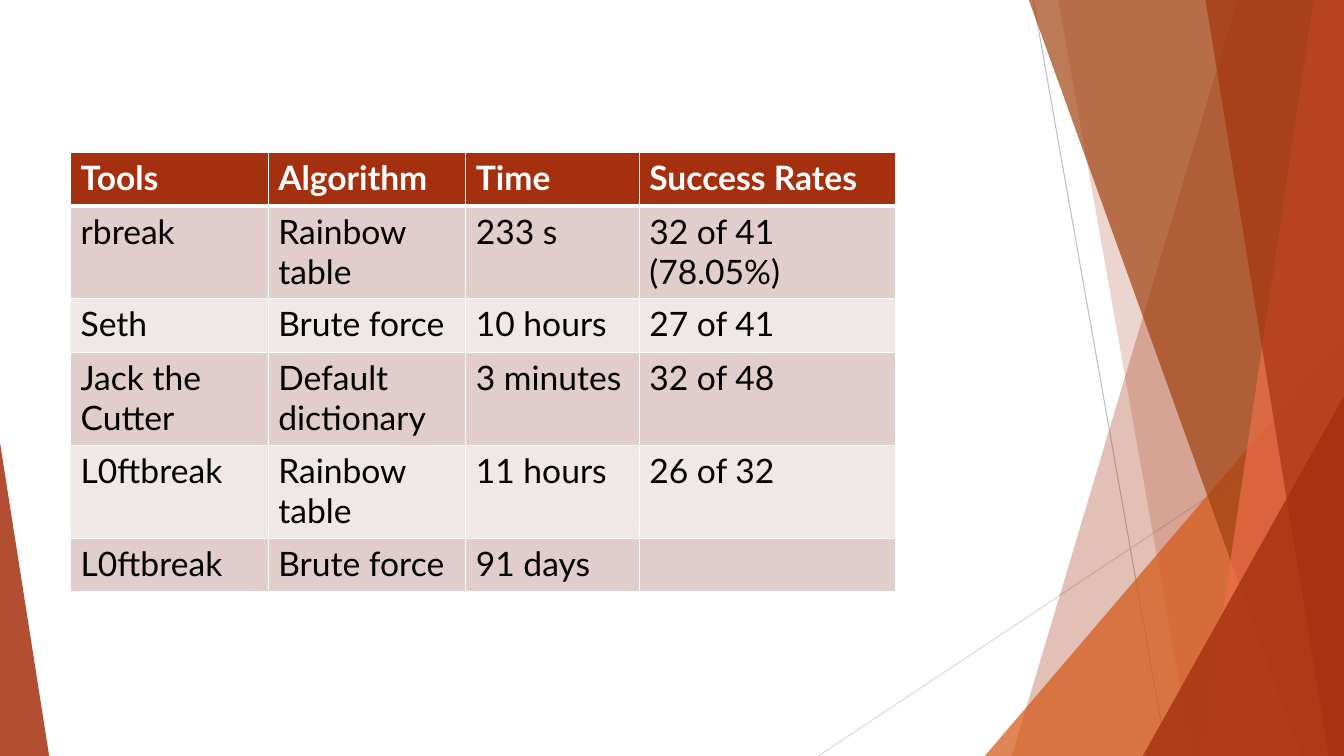
import lxml.etree
import pptx
import pptx.dml.color
import pptx.enum.shapes
import pptx.oxml.ns
import pptx.util

Cm = pptx.util.Cm
Color = pptx.dml.color.RGBColor
Shape = pptx.enum.shapes.MSO_SHAPE

WHITE = Color(0xFF, 0xFF, 0xFF)
BLACK = Color(0x00, 0x00, 0x00)
RUST = Color(0xA5, 0x30, 0x0F)
ORANGE = Color(0xD5, 0x58, 0x16)
BROWN = Color(0xA0, 0x42, 0x10)
CORAL = Color(0xEE, 0x6E, 0x4A)
GREY = Color(0xBF, 0xBF, 0xBF)
PALE_GREY = Color(0xD9, 0xD9, 0xD9)
DARK_BAND = Color(0xE1, 0xCD, 0xCC)
LIGHT_BAND = Color(0xF0, 0xE8, 0xE7)

PAGE_WIDTH, PAGE_HEIGHT = 33.87, 19.05
COLUMN_WIDTHS = (4.98, 4.98, 4.37, 6.45)
ROW_HEIGHTS = (1.35, 2.34, 1.35, 2.34, 2.34, 1.35)
RESULTS = (
    ("Tools", "Algorithm", "Time", "Success Rates"),
    ("rbreak", "Rainbow table", "233 s", "32 of 41 (78.05%)"),
    ("Seth", "Brute force", "10 hours", "27 of 41"),
    ("Jack the Cutter", "Default dictionary", "3 minutes", "32 of 48"),
    ("L0ftbreak", "Rainbow table", "11 hours", "26 of 32"),
    ("L0ftbreak", "Brute force", "91 days", ""),
)


def add_element(parent, tag, **attributes):
    """Append a drawing element to its parent."""
    return lxml.etree.SubElement(parent, pptx.oxml.ns.qn(tag), **attributes)


def paint(shape, color, opacity):
    """Give a shape a see-through fill with no outline or shadow."""
    shape.shadow.inherit = False
    shape.line.fill.background()
    shape.fill.solid()
    shape.fill.fore_color.rgb = color
    color_node = shape.fill._xPr.find(".//" + pptx.oxml.ns.qn("a:srgbClr"))
    add_element(color_node, "a:alpha", val=str(opacity * 1000))


def add_triangle(page, box, color, opacity, apex):
    """Fill a box with a right triangle whose apex is at 0 (left) or 1 (right)."""
    triangle = page.shapes.add_shape(Shape.ISOSCELES_TRIANGLE, *map(Cm, box))
    triangle.adjustments[0] = apex
    paint(triangle, color, opacity)


def add_band(page, box, top_x, bottom_x, color, opacity):
    """Fill the box to the right of a slanted edge."""
    left, top, width, height = box
    right, bottom = left + width, top + height
    corners = ((right, top), (right, bottom), (left + bottom_x, bottom))
    builder = page.shapes.build_freeform(Cm(left + top_x), Cm(top))
    builder.add_line_segments([(Cm(x), Cm(y)) for x, y in corners], close=True)
    paint(builder.convert_to_shape(), color, opacity)


def add_hairline(page, box, start, end, color):
    """Draw a thin line between two points of the box."""
    left, top = box[:2]
    points = (left + start[0], top + start[1], left + end[0], top + end[1])
    line = page.shapes.add_connector(
        pptx.enum.shapes.MSO_CONNECTOR.STRAIGHT, *map(Cm, points))
    line.line.color.rgb = color
    line.line.width = pptx.util.Pt(0.75)
    add_element(line._element.spPr, "a:effectLst")


def draw_fan(page, box):
    """Layer the overlapping facets along the right side."""
    left, top, width, height = box
    add_hairline(page, box, (5.42, 0), (8.79, height), GREY)
    add_hairline(page, box, (width, 10.24), (0, height), PALE_GREY)
    facets = (
        ("band", 10.57, 4.88, RUST, 30),
        ("band", 6.05, 9.43, RUST, 20),
        ("triangle", 4.2, 8.46, ORANGE, 72),
        ("band", 5.31, 12.17, BROWN, 70),
        ("band", 12.48, 9.66, CORAL, 70),
        ("band", 9.76, 12.86, RUST, 65),
        ("triangle", 8.18, 9.98, RUST, 80),
    )
    for kind, first, second, color, opacity in facets:
        if kind == "band":
            add_band(page, box, first, second, color, opacity)
        else:
            corner = (left + first, top + second, width - first, height - second)
            add_triangle(page, corner, color, opacity, apex=1)


def write_text(frame, text, size=24, font="Lato", color=BLACK, bold=False):
    """Write one formatted run into a text frame."""
    span = frame.paragraphs[0].add_run()
    span.text = text
    span.font.size = pptx.util.Pt(size)
    span.font.name = font
    span.font.color.rgb = color
    span.font.bold = bold


def add_borders(cell, **widths):
    """Draw white cell borders with widths in points, keyed by side."""
    properties = cell._tc.get_or_add_tcPr()
    for side in "LRTB":
        width = pptx.util.Pt(widths.get(side, 1))
        border = add_element(properties, "a:ln" + side, w=str(width))
        fill = add_element(border, "a:solidFill")
        add_element(fill, "a:srgbClr", val=str(WHITE))


def draw_results(page, box):
    """Place the table of cracking results in its box."""
    frame = page.shapes.add_table(
        len(RESULTS), len(COLUMN_WIDTHS), *map(Cm, box))
    table = frame.table
    table.horz_banding = False
    for column, width in zip(table.columns, COLUMN_WIDTHS):
        column.width = Cm(width)
    for index, (row, height, texts) in enumerate(
            zip(table.rows, ROW_HEIGHTS, RESULTS)):
        row.height = Cm(height)
        header = index == 0
        band = RUST if header else DARK_BAND if index % 2 else LIGHT_BAND
        for cell, text in zip(row.cells, texts):
            add_borders(cell, T=3 if index == 1 else 1, B=3 if header else 1)
            cell.fill.solid()
            cell.fill.fore_color.rgb = band
            if text:
                write_text(cell.text_frame, text, bold=header,
                           color=WHITE if header else BLACK)


def main():
    """Build the slide and save it."""
    deck = pptx.Presentation()
    deck.slide_width, deck.slide_height = Cm(PAGE_WIDTH), Cm(PAGE_HEIGHT)
    page = deck.slides.add_slide(deck.slide_layouts[6])
    draw_fan(page, (20.62, 0, PAGE_WIDTH - 20.62, PAGE_HEIGHT))
    add_triangle(page, (0, 11.15, 1.24, PAGE_HEIGHT - 11.15), RUST, 85, apex=0)
    draw_results(page, (1.78, 3.84, sum(COLUMN_WIDTHS), sum(ROW_HEIGHTS)))
    deck.save("out.pptx")


if __name__ == "__main__":
    main()
